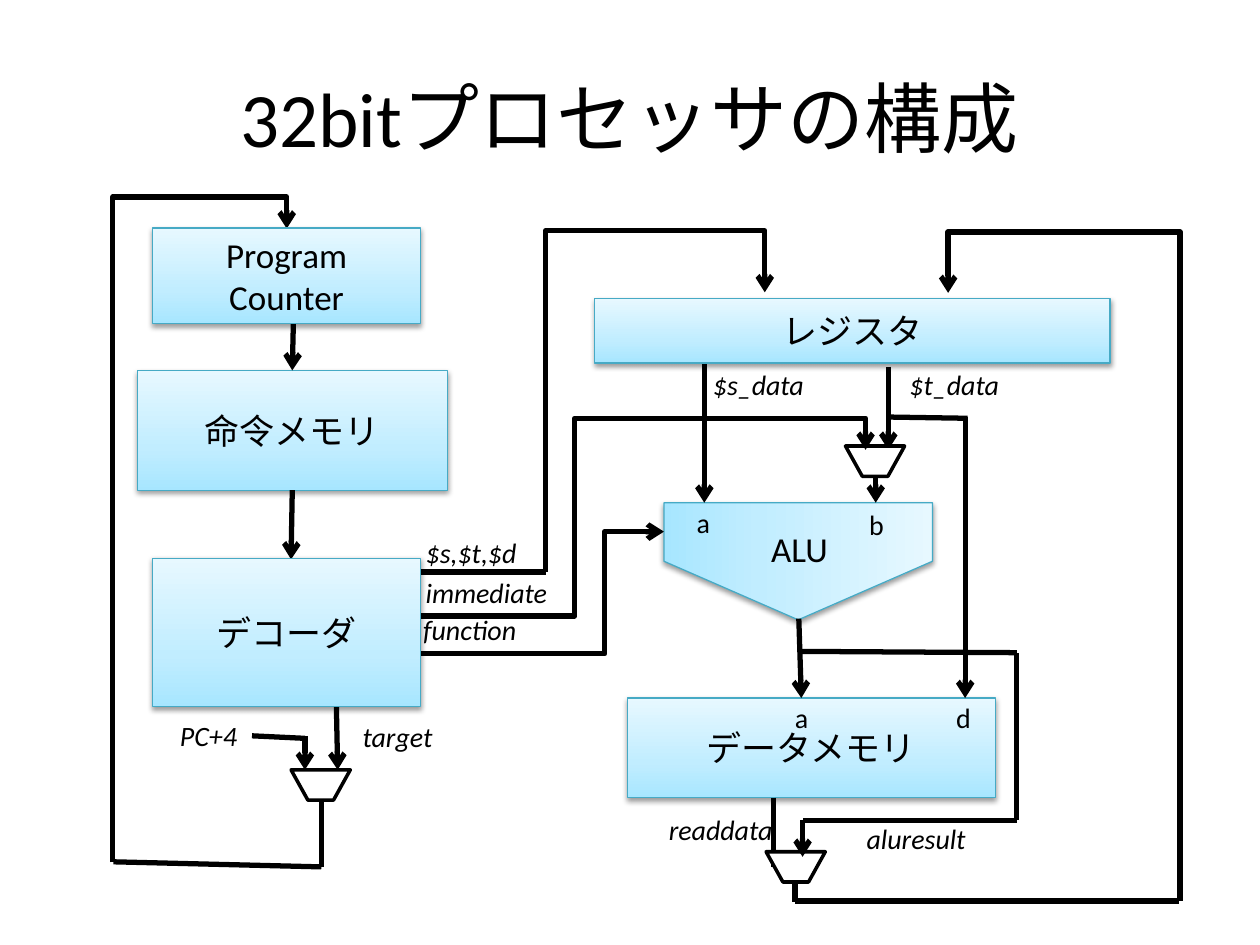
from pptx import Presentation
from pptx.dml.color import RGBColor as Rgb
from pptx.enum.shapes import MSO_CONNECTOR as Link, MSO_SHAPE as Shape
from pptx.enum.text import MSO_ANCHOR as Anchor, MSO_AUTO_SIZE as Auto, PP_ALIGN as Align
from pptx.oxml import parse_xml as to_xml
from pptx.oxml.ns import nsdecls, qn
from pptx.util import Inches, Pt

HUES = {"ink": "000000", "paper": "FFFFFF", "edge": "46AAC5",
        "deep": "A7E6FF", "mid": "C1EDFF", "pale": "E7F8FF"}
FONT = "Calibri"
NS = nsdecls("a")

LOWER = [
    ("命令メモリ", 1.09, 2.94, 2.46, 0.95),
    ("レジスタ", 4.72, 2.37, 4.09, 0.51),
    ("データメモリ", 4.98, 5.54, 2.92, 0.79),
]
UPPER = [
    ("デコーダ", 1.21, 4.43, 2.13, 1.18),
    ("Program Counter", 1.21, 1.81, 2.13, 0.76),
]
MUXES = [(6.71, 3.54), (6.08, 6.76), (2.31, 6.11)]
BACK = [
    (7.05, 2.91, 7.05, 3.57, True),
    (6.14, 6.33, 6.14, 6.88, False),
]
ARROWS = [
    (5.59, 2.89, 5.59, 3.99),
    (6.34, 4.91, 6.36, 5.54),
    (6.95, 3.79, 6.95, 3.99),
    (6.37, 6.51, 6.37, 6.8),
    (2.67, 5.61, 2.68, 6.11),
    (2.42, 5.84, 2.42, 6.11),
    (7.66, 3.31, 7.66, 5.54),
]
WIRES = [
    (2.99, 4.54, 4.33, 4.54),
    (6.31, 7.15, 9.36, 7.15),
    (6.31, 7, 6.31, 7.16),
    (8.07, 6.51, 6.37, 6.51),
    (8.07, 5.18, 6.34, 5.17),
    (8.07, 6.51, 8.07, 5.18),
    (2.55, 6.88, 0.9, 6.84),
    (2.55, 6.34, 2.55, 6.88),
    (2.42, 5.86, 2, 5.84),
    (7.68, 3.32, 7.05, 3.31),
]
ELBOWS = [
    (4.09, 2.56, 2.22, 1.74, 90, "HV", [1.22]),
    (2.43, 3.57, 4.44, 1.32, 0, "V", [0.48, 1.19]),
    (6.03, 3.82, 4.83, 1.84, 270, "V", [1.1]),
    (2.51, 4.22, 2.76, 0.97, 0, "V", [0.83]),
    (-0.93, 3.64, 5.03, 1.38, 90, "HV", [1.05]),
]
SIGNALS = [
    ("$s,$t,$d", 3.28, 4.2, 1.13),
    ("immediate", 3.28, 4.52, 1.34),
    ("function", 3.26, 4.81, 1.66),
    ("$s_data", 5.56, 2.87, 1.34),
    ("$t_data", 7.12, 2.87, 1.34),
    ("readdata", 5.21, 6.4, 1.34),
    ("aluresult", 6.78, 6.47, 1.34),
    ("PC+4", 1.33, 5.65, 0.67),
    ("target", 2.78, 5.66, 1.41),
]
PORTS = [("a", 5.43, 3.96), ("b", 6.8, 3.98), ("a", 6.21, 5.51), ("d", 7.49, 5.51)]


def hue(name):
    """Return a named colour."""
    return Rgb.from_string(HUES[name])


def write(frame, text, size, align=None, italic=None):
    """Put one formatted run into a text frame."""
    para = frame.paragraphs[0]
    para.alignment = align
    run = para.add_run()
    run.text = text
    run.font.name = FONT
    run.font.size = Pt(size)
    run.font.italic = italic
    run.font.color.rgb = hue("ink")


def shade(shape):
    """Give a shape the blue gradient, thin edge and soft shadow."""
    shape.line.color.rgb = hue("edge")
    shape.line.width = Pt(0.75)
    shape.shadow.inherit = False
    stops = "".join(
        f'<a:gs pos="{pos}"><a:srgbClr val="{HUES[name]}"/></a:gs>'
        for pos, name in [(0, "deep"), (35000, "mid"), (100000, "pale")])
    props = shape._element.spPr
    props.find(qn("a:prstGeom")).addnext(to_xml(
        f'<a:gradFill {NS} rotWithShape="1"><a:gsLst>{stops}</a:gsLst>'
        '<a:lin ang="16200000" scaled="0"/></a:gradFill>'))
    props.find(qn("a:effectLst")).append(to_xml(
        f'<a:outerShdw {NS} blurRad="{Pt(3.1)}" dist="{Pt(1.6)}" dir="5400000" rotWithShape="0">'
        f'<a:srgbClr val="{HUES["ink"]}"><a:alpha val="38000"/></a:srgbClr></a:outerShdw>'))


def add_box(slide, text, *at):
    """Add a labelled block."""
    box = slide.shapes.add_shape(Shape.FLOWCHART_PROCESS, *map(Inches, at))
    shade(box)
    box.text_frame.word_wrap = True
    box.text_frame.vertical_anchor = Anchor.MIDDLE
    write(box.text_frame, text, 20, Align.CENTER)
    return box


def add_alu(slide):
    """Add the downward-pointing ALU block."""
    alu = slide.shapes.add_shape(
        Shape.PENTAGON, Inches(5.87), Inches(3.39), Inches(0.93), Inches(2.13))
    alu.rotation = 90
    shade(alu)


def add_mux(slide, x, y):
    """Add a multiplexer."""
    mux = slide.shapes.add_shape(
        Shape.TRAPEZOID, Inches(x), Inches(y), Inches(0.47), Inches(0.24))
    mux.rotation = 180
    mux.adjustments[0] = 0.555
    mux.fill.solid()
    mux.fill.fore_color.rgb = hue("paper")
    mux.line.color.rgb = hue("ink")
    mux.line.width = Pt(2)
    mux.shadow.inherit = False


def add_wire(slide, x1, y1, x2, y2, arrow=False, kind=Link.STRAIGHT):
    """Add a thick black connector."""
    wire = slide.shapes.add_connector(kind, *map(Inches, (x1, y1, x2, y2)))
    wire.line.color.rgb = hue("ink")
    wire.line.width = Pt(3)
    if arrow:
        wire.line._get_or_add_ln().append(to_xml(f'<a:tailEnd {NS} type="arrow"/>'))
    wire._element.spPr.append(to_xml(f"<a:effectLst {NS}/>"))
    return wire


def add_elbow(slide, x, y, w, h, turn, flips, bends):
    """Add a bent arrow with its turn, flips and bend places."""
    wire = add_wire(slide, x, y, x + w, y + h, True, Link.ELBOW)
    props = wire._element.spPr
    frame = props.find(qn("a:xfrm"))
    frame.set("rot", str(turn * 60000))
    for flip in flips:
        frame.set(f"flip{flip}", "1")
    geom = props.find(qn("a:prstGeom"))
    geom.set("prst", f"bentConnector{len(bends) + 2}")
    guides = geom.find(qn("a:avLst"))
    for num, bend in enumerate(bends, 1):
        guides.append(to_xml(
            f'<a:gd {NS} name="adj{num}" fmla="val {round(bend * 100000)}"/>'))


def add_label(slide, text, x, y, w, h=0.37, size=16, align=None, italic=None):
    """Add a free text label."""
    frame = slide.shapes.add_textbox(*map(Inches, (x, y, w, h))).text_frame
    frame.word_wrap = True
    frame.auto_size = Auto.SHAPE_TO_FIT_TEXT
    write(frame, text, size, align, italic)


def add_title(slide, text):
    """Place and fill the title."""
    title = slide.shapes.title
    title.left, title.top, title.width, title.height = map(Inches, (0.5, 0.3, 9, 1.25))
    title.text_frame.vertical_anchor = Anchor.MIDDLE
    write(title.text_frame, text, 44, Align.CENTER)


def main():
    """Build the processor diagram."""
    deck = Presentation()
    deck.slide_width, deck.slide_height = Inches(10), Inches(7.5)
    slide = deck.slides.add_slide(deck.slide_layouts[5])
    add_title(slide, "32bitプロセッサの構成")
    store = [add_box(slide, *box) for box in LOWER][0]
    add_alu(slide)
    for wire in BACK:
        add_wire(slide, *wire)
    for mux in MUXES:
        add_mux(slide, *mux)
    add_wire(slide, 2.33, 2.49, 2.32, 2.94, True).end_connect(store, 0)
    add_wire(slide, 2.32, 3.89, 2.31, 4.44, True).begin_connect(store, 2)
    for ends in ARROWS:
        add_wire(slide, *ends, True)
    for ends in WIRES:
        add_wire(slide, *ends)
    for elbow in ELBOWS:
        add_elbow(slide, *elbow)
    for box in UPPER:
        add_box(slide, *box)
    add_label(slide, "ALU", 5.74, 4.14, 1.21, 0.44, 20, Align.CENTER)
    for signal in SIGNALS:
        add_label(slide, *signal, italic=True)
    for port in PORTS:
        add_label(slide, *port, 0.29)
    deck.save("out.pptx")


if __name__ == "__main__":
    main()
